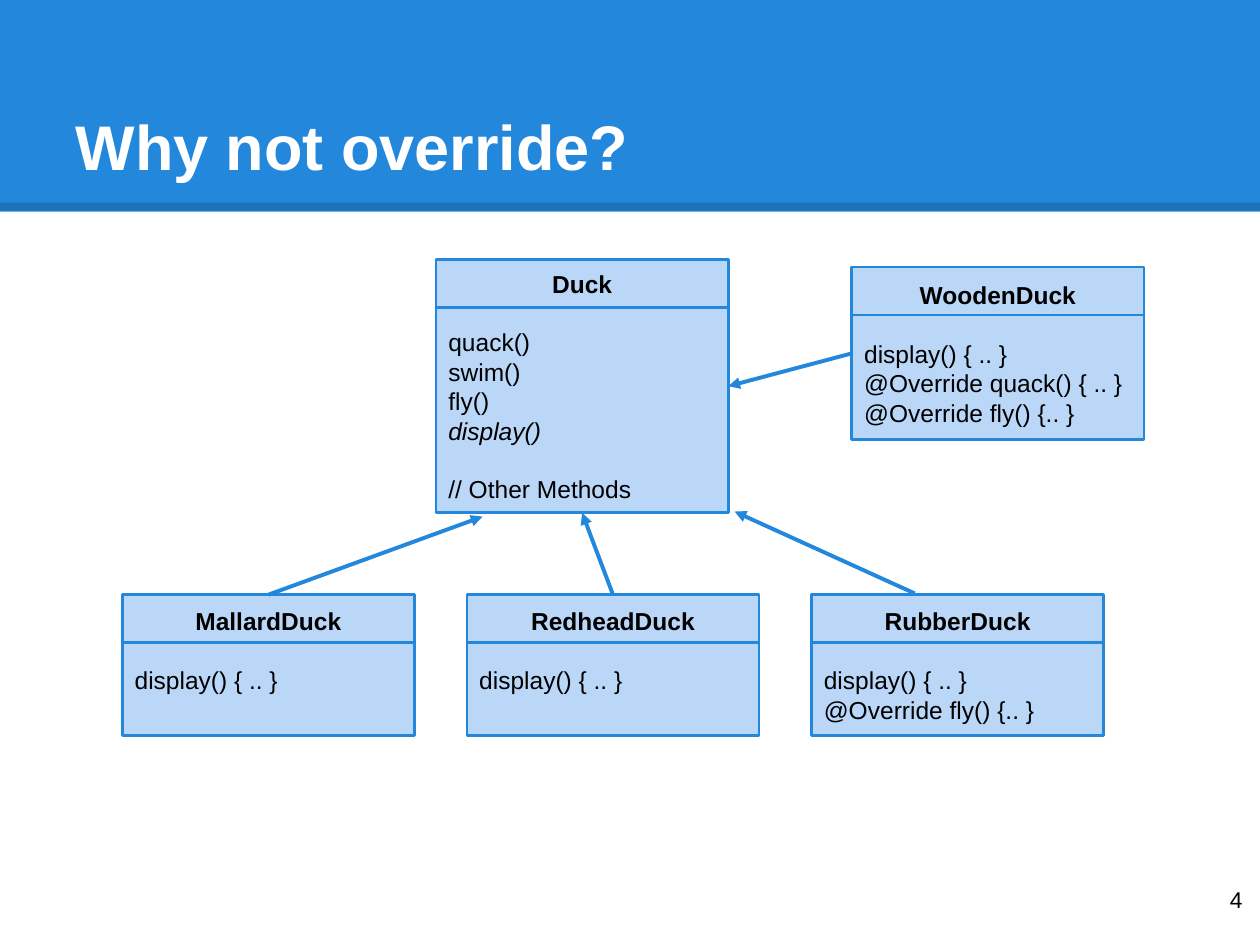
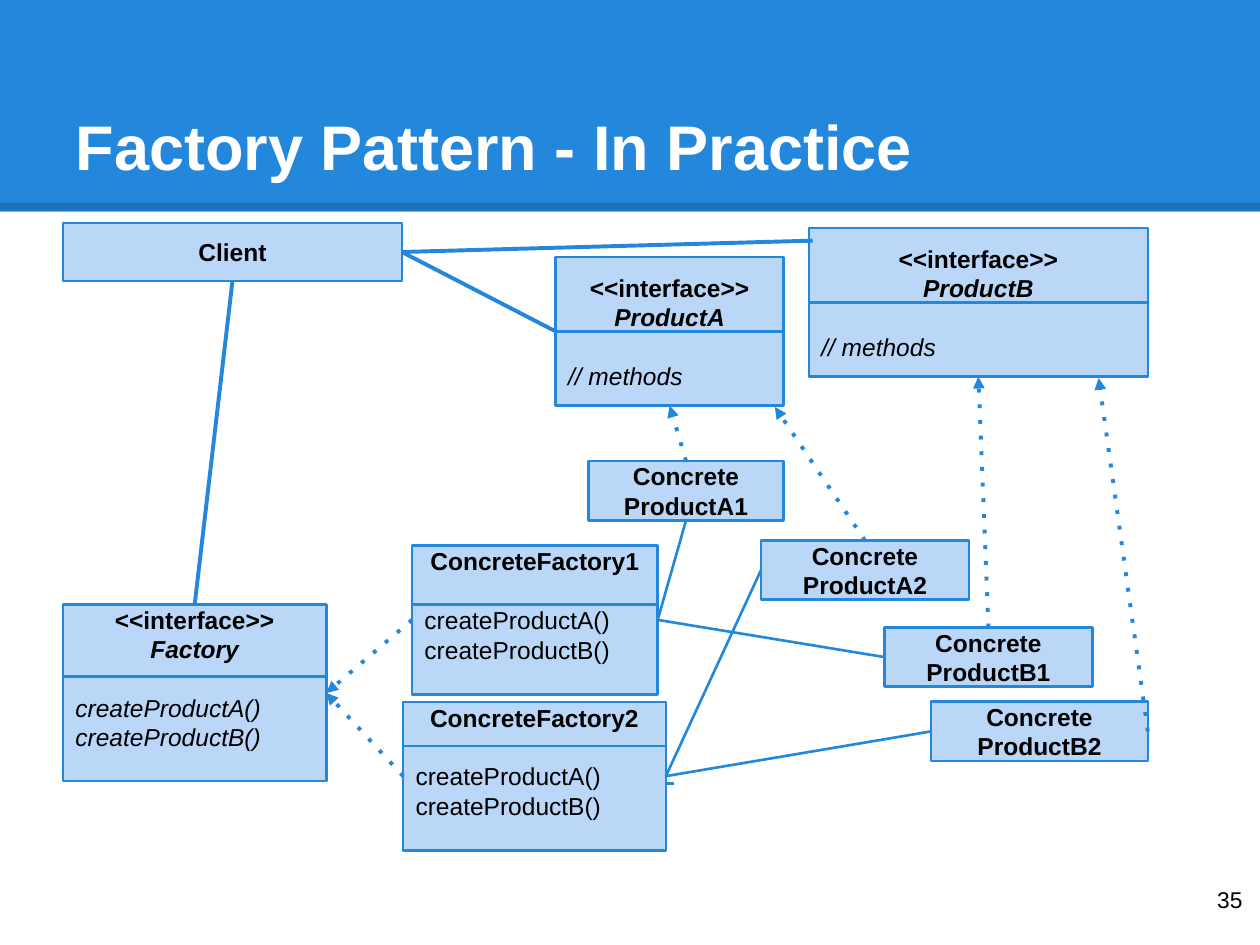
import pptx
import pptx.util
import pptx.dml.color
import pptx.enum.shapes
import pptx.enum.text
import pptx.oxml
import pptx.oxml.ns

Pt = pptx.util.Pt
Align = pptx.enum.text.PP_ALIGN
Anchor = pptx.enum.text.MSO_ANCHOR
Kind = pptx.enum.shapes.MSO_SHAPE
qn = pptx.oxml.ns.qn

BLUE, PALE, BLACK, WHITE = "2388DB", "BBD7F8", "000000", "FFFFFF"
FONT = "Arial"
LEAD = 16.8  # line pitch of 14 pt text, in points
TOP, LEFT, LOW, RIGHT = range(4)  # sides of a rectangle

# The slide is a grid of 100 columns by 75 rows
WIDE, HIGH = pptx.util.Inches(10), pptx.util.Inches(7.5)
COL, ROW = WIDE // 100, HIGH // 75
BAND = (0, 0, 100, 16.8)
HEAD = (5, 3, 90, 12.5)
BODY = (5, 17, 90, 52)
PAGE = (93.6, 69.3, 6, 5.7)


def grid(box):
    """Turn columns and rows into lengths on the slide."""
    return [round(n * unit) for n, unit in zip(box, (COL, ROW) * 2)]


def within(area, x, y, *size):
    """Shift a point or box so that it starts from the area's corner."""
    return (area[0] + x, area[1] + y, *size)


def tint(text):
    return pptx.dml.color.RGBColor.from_string(text)


def write(frame, text, size=14, color=BLACK, bold=False, italic=False,
          align=Align.LEFT, gap=0, lead=None):
    """Add one paragraph, filling the empty first one if there is one."""
    para = frame.add_paragraph() if frame.text else frame.paragraphs[0]
    para.alignment = align
    if gap:
        para.space_before = Pt(gap)
    if lead:
        para.line_spacing = Pt(lead)
    run = para.add_run()
    run.text = text
    font = run.font
    font.name, font.size = FONT, Pt(size)
    font.bold, font.italic = bold, italic
    font.color.rgb = tint(color)


def frame_of(shape, anchor=Anchor.MIDDLE):
    frame = shape.text_frame
    frame.word_wrap = True
    frame.auto_size = pptx.enum.text.MSO_AUTO_SIZE.NONE
    frame.vertical_anchor = anchor
    frame.margin_left = frame.margin_right = COL
    frame.margin_top = frame.margin_bottom = ROW
    return frame


def block(slide, box, fill, edge=None):
    shape = slide.shapes.add_shape(Kind.RECTANGLE, *grid(box))
    shape.shadow.inherit = False
    shape.fill.solid()
    shape.fill.fore_color.rgb = tint(fill)
    if edge:
        shape.line.color.rgb = tint(edge)
        shape.line.width = Pt(1.5)
    else:
        shape.line.fill.background()
    return shape


def link(slide, start, end, width=2.25, color=BLUE, dash=None,
         arrow=False, alpha=None):
    """Draw a line; an end is a grid point or a (shape, side) pair."""
    fixed = [not hasattr(stop[0], "shape_id") for stop in (start, end)]
    spots = [grid(stop) if point else (0, 0)
             for stop, point in zip((start, end), fixed)]
    line = slide.shapes.add_connector(
        pptx.enum.shapes.MSO_CONNECTOR.STRAIGHT, *spots[0], *spots[1])
    if not fixed[0]:
        line.begin_connect(*start)
    if not fixed[1]:
        line.end_connect(*end)
    line.line.color.rgb = tint(color)
    line.line.width = Pt(width)

    def add(parent, tag, **values):
        node = pptx.oxml.parse_xml(f"<a:{tag} {pptx.oxml.ns.nsdecls('a')}/>")
        for key, value in values.items():
            node.set(key, value)
        parent.append(node)

    props = line._element.spPr
    stroke = props.find(qn("a:ln"))
    if alpha:
        add(stroke.find(".//" + qn("a:srgbClr")), "alpha",
            val=str(alpha * 1000))
    if dash:
        add(stroke, "prstDash", val=dash)
    if arrow:
        add(stroke, "tailEnd", type="triangle")
    add(props, "effectLst")


def unit(slide, box, head, body="", rule=None, slant=(), tail=0):
    """Class box: bold head lines, plain body lines, a rule between.

    rule is in rows below the top, tail is the free lines at the foot,
    and an empty body line becomes space before the next line.
    """
    shape = block(slide, box, PALE, BLUE)
    frame = frame_of(shape)
    frame.margin_bottom = round(ROW + Pt(LEAD) * tail)
    for text in head.split("\n"):
        write(frame, text, bold=True, italic=text in slant,
              align=Align.CENTER, lead=LEAD)
    gap = LEAD
    for text in body.split("\n") if body else ():
        if text:
            write(frame, text, italic=text in slant, gap=gap, lead=LEAD)
            gap = 0
        else:
            gap += LEAD
    if rule:
        x, y, wide, _ = box
        link(slide, (x, y + rule), (x + wide, y + rule), width=1.5)
    return shape


def base(deck, title, page):
    """Start a slide with the band, title and page number."""
    slide = deck.slides.add_slide(deck.slide_layouts[5])
    block(slide, BAND, BLUE)
    link(slide, (0, 16.4), (100, 16.4), 4.5, BLACK, alpha=15)
    # Title goes in front of the band
    head = slide.shapes.title
    head.element.getparent().append(head.element)
    head.left, head.top, head.width, head.height = grid(HEAD)
    write(frame_of(head, Anchor.BOTTOM), title, 36, WHITE, bold=True)
    # Page number
    foot = slide.shapes.add_textbox(*grid(PAGE))
    write(frame_of(foot, Anchor.TOP), page, 13, align=Align.RIGHT)
    return slide


def ducks(slide, area):
    """Duck with its four subclasses."""
    wide, rule = 23.2, 3.8
    duck = unit(slide, within(area, 29.6, 3.6, wide, 20.1), "Duck",
                "quack()\nswim()\nfly()\ndisplay()\n\n// Other Methods",
                rule, slant=("display()",))
    wood = unit(slide, within(area, 62.6, 4.2, wide, 13.7), "WoodenDuck",
                "display() { .. }\n@Override quack() { .. }\n"
                "@Override fly() {.. }", rule)
    # Lower row of subclasses
    show = "display() { .. }"
    kinds = (("MallardDuck", show, 1), ("RedheadDuck", show, 1),
             ("RubberDuck", show + "\n@Override fly() {.. }", 0))
    mall, red, _ = [
        unit(slide, within(area, 4.7 + 27.35 * i, 30.2, wide, 11.2),
             name, body, rule, tail=tail)
        for i, (name, body, tail) in enumerate(kinds)]
    # Arrows up to the parent
    for start, end in (
            ((mall, TOP), within(area, 33.3, 24)),
            ((red, TOP), (duck, LOW)),
            (within(area, 67.6, 30.1), within(area, 53.3, 23.6)),
            ((wood, LEFT), (duck, RIGHT))):
        link(slide, start, end, arrow=True)


def plant(slide, area):
    """Client, factories and products."""
    face, note = "<<interface>>\n", "// methods"
    make = "createProductA()\ncreateProductB()"
    both = tuple(make.split("\n"))

    def put(x, y, wide, high, *text, **more):
        return unit(slide, within(area, x, y, wide, high), *text, **more)

    # Client and interfaces
    client = put(0, 0.7, 26.9, 4.6, "Client")
    prod_a = put(39.1, 3.4, 18.1, 11.8, face + "ProductA", note, 5.9,
                 slant=("ProductA", note))
    prod_b = put(59.2, 1.1, 26.9, 11.8, face + "ProductB", note, 5.9,
                 slant=("ProductB", note))
    fact = put(0, 31, 20.9, 14, face + "Factory", make, 5.7,
               slant=("Factory", *both), tail=1)
    # Concrete factories
    fact1 = put(27.7, 26.3, 19.5, 11.8, "ConcreteFactory1", make, 4.7, tail=1)
    link(slide, within(area, 27.7, 45.2), within(area, 48.5, 45.2), 1.5)
    fact2 = put(27, 38.7, 20.85, 11.8, "ConcreteFactory2", make, 3.5, tail=1)
    # Concrete products
    a1, a2, b1, b2 = [
        put(x, y, wide, 4.7, "Concrete\nProduct" + name)
        for name, x, y, wide in (
            ("A1", 41.7, 19.6, 15.5), ("A2", 55.4, 25.9, 16.5),
            ("B1", 65.2, 32.8, 16.5), ("B2", 68.9, 38.7, 17.2))]
    # Dotted arrows to the interfaces
    for start, end in (
            ((fact1, LEFT), (fact, RIGHT)),
            ((fact2, LEFT), (fact, RIGHT)),
            ((a1, TOP), (prod_a, LOW)),
            ((a2, TOP), within(area, 56.5, 15.3)),
            ((b1, TOP), (prod_b, LOW)),
            ((b2, RIGHT), within(area, 82.2, 13))):
        link(slide, start, end, dash="dot", arrow=True)
    # What the client uses
    link(slide, (client, LOW), (fact, TOP))
    link(slide, (client, RIGHT), (prod_a, LEFT))
    link(slide, (client, RIGHT), within(area, 59.5, 2.1))
    # What each factory makes
    for maker, goods in ((fact1, ((a1, LOW), (b1, LEFT))),
                         (fact2, ((a2, LEFT), (b2, LEFT)))):
        for end in goods:
            link(slide, (maker, RIGHT), end, width=1.5)


def main():
    deck = pptx.Presentation()
    deck.slide_width, deck.slide_height = WIDE, HIGH
    ducks(base(deck, "Why not override?", "4"), BODY)
    plant(base(deck, "Factory Pattern - In Practice", "35"), BODY)
    deck.save("out.pptx")


if __name__ == "__main__":
    main()
